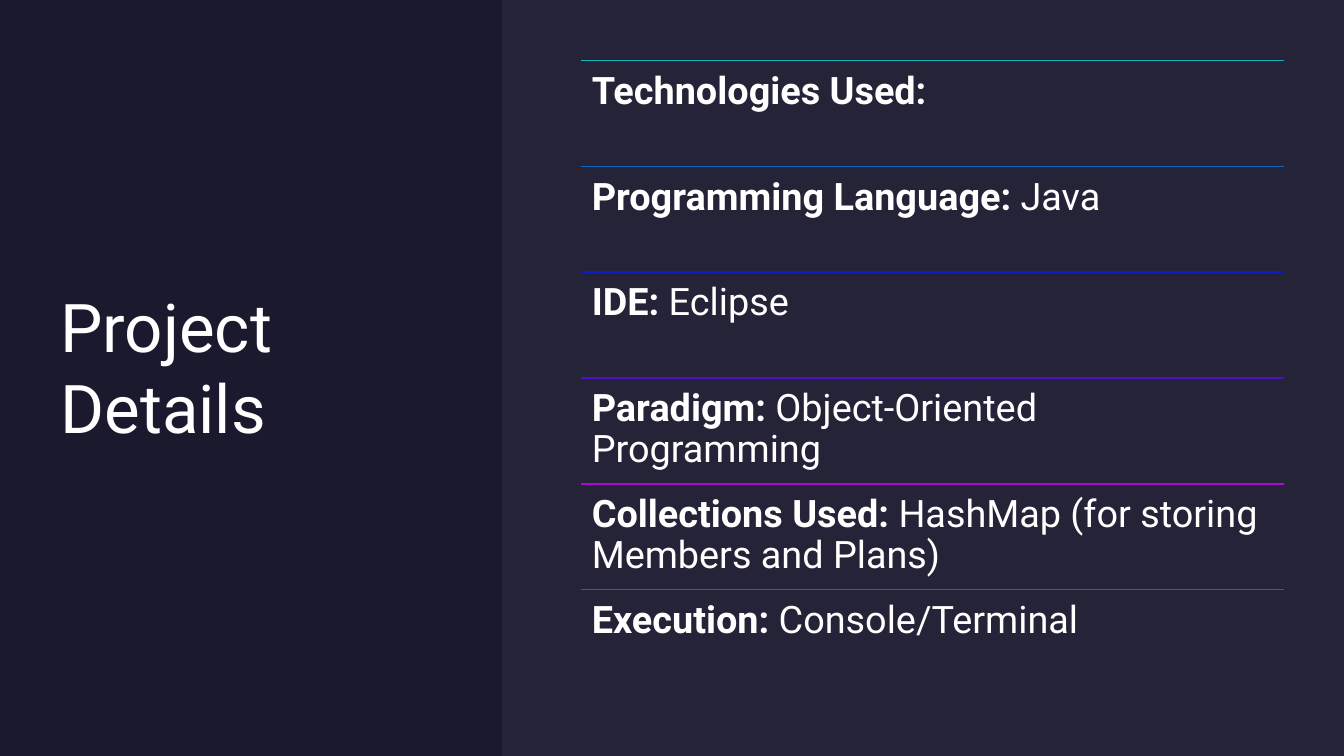
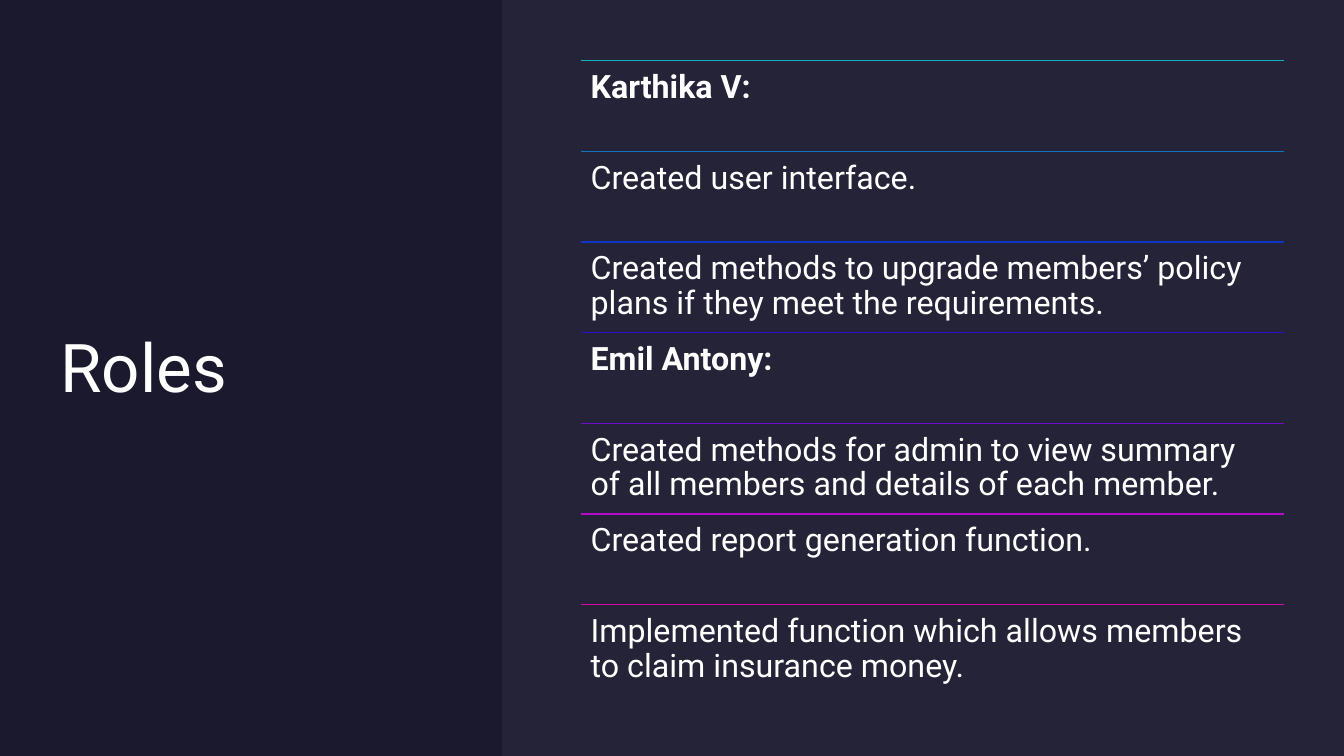
from colorsys import hls_to_rgb, rgb_to_hls
from dataclasses import dataclass

from lxml.etree import SubElement
from pptx import Presentation
from pptx.dml.color import RGBColor
from pptx.enum.shapes import MSO_CONNECTOR, MSO_SHAPE
from pptx.enum.text import MSO_ANCHOR
from pptx.oxml.ns import qn
from pptx.util import Inches, Pt

# Shared style
FONT = "Roboto"
NAVY, MIST, WHITE = "1B192E", "E4E3F0", "FFFFFF"
RULE_START, RULE_END = "12B1BF", "D40AA8"
TITLE_SIZE = 48
SLIDE_WIDTH, SLIDE_HEIGHT = 13.33, 7.5
PANEL_LEFT = 4.98
LIST_LEFT, LIST_TOP, LIST_WIDTH, LIST_HEIGHT = 5.76, 0.6, 6.97, 6.3


@dataclass(frozen=True)
class Entry:
    label: str = ""
    detail: str = ""


@dataclass(frozen=True)
class Topic:
    title: str
    text_size: float
    inset: float
    entries: tuple[Entry, ...]


TOPICS = (
    Topic("Project Details", 27, 0.11, (
        Entry("Technologies Used:"),
        Entry("Programming Language:", " Java"),
        Entry("IDE:", " Eclipse"),
        Entry("Paradigm:", " Object-Oriented Programming"),
        Entry("Collections Used:", " HashMap (for storing Members and Plans)"),
        Entry("Execution:", " Console/Terminal"),
    )),
    Topic("Roles", 23, 0.1, (
        Entry("Karthika V:"),
        Entry(detail="Created user interface."),
        Entry(detail="Created methods to upgrade members’ policy plans "
                     "if they meet the requirements."),
        Entry("Emil Antony:"),
        Entry(detail="Created methods for admin to view summary of all members "
                     "and details of each member."),
        Entry(detail="Created report generation function."),
        Entry(detail="Implemented function which allows members "
                     "to claim insurance money."),
    )),
)


def color(value: str) -> RGBColor:
    return RGBColor.from_string(value)


def rule_color(position: float) -> str:
    """Blend hue, lightness and saturation between the two end colours."""
    start, end = (
        rgb_to_hls(*(channel / 255 for channel in bytes.fromhex(value)))
        for value in (RULE_START, RULE_END)
    )
    blend = (a + (b - a) * position for a, b in zip(start, end))
    return "".join(f"{round(c * 255):02X}" for c in hls_to_rgb(*blend))


def add_text_area(slide, left: float, top: float, width: float, height: float,
                  inset: float, anchor: MSO_ANCHOR):
    """Add a wrapping text box and return its first paragraph."""
    frame = slide.shapes.add_textbox(
        Inches(left), Inches(top), Inches(width), Inches(height)).text_frame
    frame.word_wrap = True
    frame.vertical_anchor = anchor
    frame.margin_left = frame.margin_right = Inches(inset)
    frame.margin_top = frame.margin_bottom = Inches(inset)
    return frame.paragraphs[0]


def add_run(paragraph, text: str, size: float, bold: bool = False) -> None:
    run = paragraph.add_run()
    run.text = text
    run.font.name = FONT
    run.font.size = Pt(size)
    run.font.bold = bold
    run.font.color.rgb = color(WHITE)


def add_panel(slide) -> None:
    panel = slide.shapes.add_shape(
        MSO_SHAPE.RECTANGLE, Inches(PANEL_LEFT), 0,
        Inches(SLIDE_WIDTH - PANEL_LEFT), Inches(SLIDE_HEIGHT))
    panel.shadow.inherit = False
    panel.line.fill.background()
    panel.fill.solid()
    panel.fill.fore_color.rgb = color(MIST)
    # Leave the tint 5 % opaque
    tint = panel.fill._xPr.find(f".//{qn('a:srgbClr')}")
    SubElement(tint, qn("a:alpha"), val="5000")


def add_rule(slide, top: float, value: str) -> None:
    rule = slide.shapes.add_connector(
        MSO_CONNECTOR.STRAIGHT, Inches(LIST_LEFT), Inches(top),
        Inches(LIST_LEFT + LIST_WIDTH), Inches(top))
    rule.line.width = Pt(1)
    rule.line.color.rgb = color(value)
    SubElement(rule.line._get_or_add_ln().getparent(), qn("a:effectLst"))


def add_entries(slide, topic: Topic) -> None:
    count = len(topic.entries)
    row_height = LIST_HEIGHT / count
    for index, entry in enumerate(topic.entries):
        top = LIST_TOP + index * row_height
        add_rule(slide, top, rule_color(index / (count - 1)))
        paragraph = add_text_area(slide, LIST_LEFT, top, LIST_WIDTH, row_height,
                                  topic.inset, MSO_ANCHOR.TOP)
        paragraph.line_spacing = 0.9
        if entry.label:
            add_run(paragraph, entry.label, topic.text_size, bold=True)
        if entry.detail:
            add_run(paragraph, entry.detail, topic.text_size)


def add_topic_slide(deck, topic: Topic) -> None:
    slide = deck.slides.add_slide(deck.slide_layouts[6])
    slide.background.fill.solid()
    slide.background.fill.fore_color.rgb = color(NAVY)
    title = add_text_area(slide, 0.6, 0.6, 3.9, 6.06, 0, MSO_ANCHOR.MIDDLE)
    add_run(title, topic.title, TITLE_SIZE)
    add_panel(slide)
    add_entries(slide, topic)


def main() -> None:
    deck = Presentation()
    deck.slide_width = Inches(SLIDE_WIDTH)
    deck.slide_height = Inches(SLIDE_HEIGHT)
    for topic in TOPICS:
        add_topic_slide(deck, topic)
    deck.save("out.pptx")


if __name__ == "__main__":
    main()
